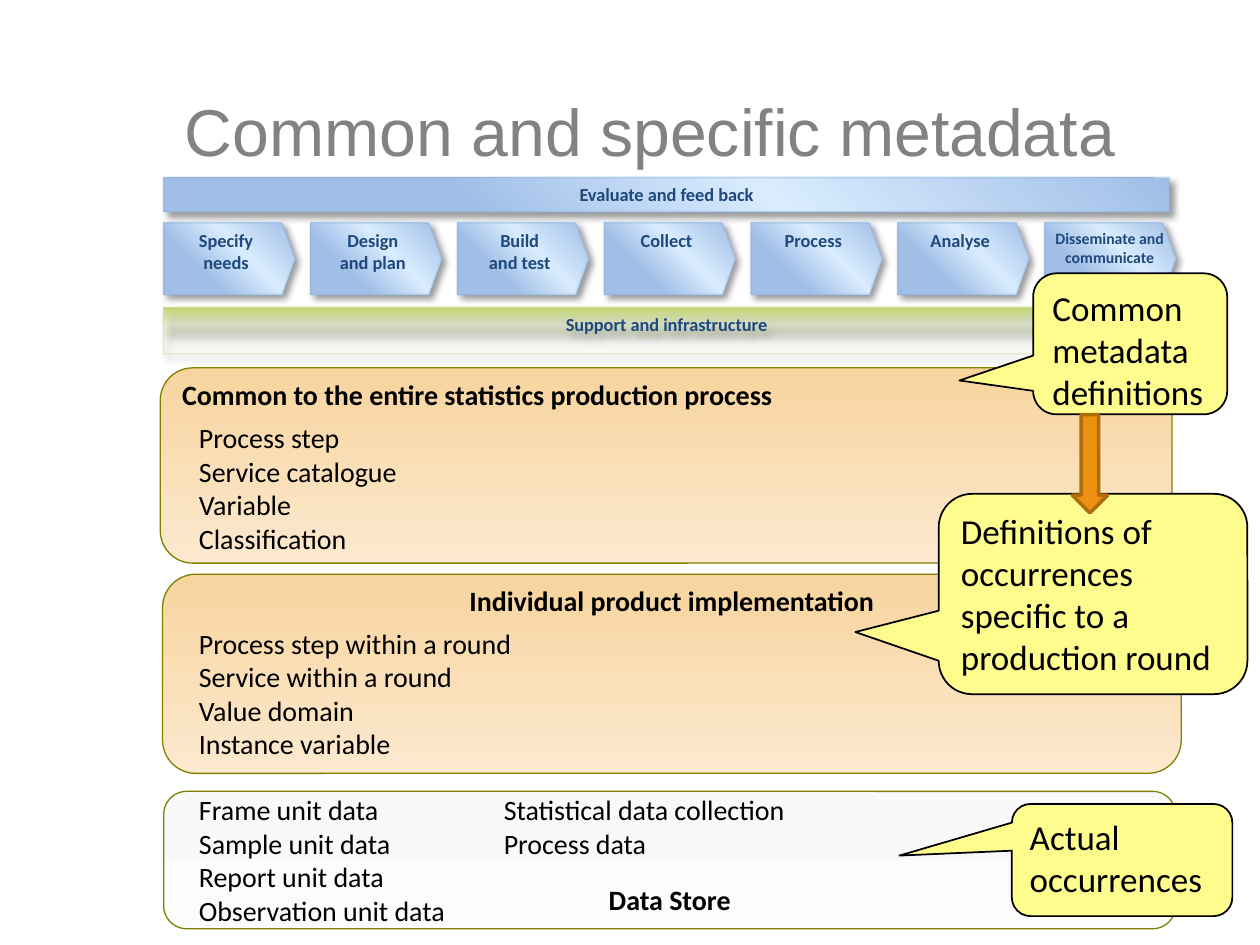
from lxml.etree import SubElement
from pptx import Presentation
from pptx.dml.color import RGBColor
from pptx.enum.shapes import MSO_SHAPE
from pptx.enum.text import MSO_ANCHOR, PP_ALIGN
from pptx.oxml.ns import qn
from pptx.util import Pt

BLACK = RGBColor(0x00, 0x00, 0x00)
GREY = RGBColor(0x82, 0x82, 0x82)
NAVY = RGBColor(0x1F, 0x49, 0x7D)
BLUE = RGBColor(0xA0, 0xBE, 0xE6)
PALE_BLUE = RGBColor(0xD9, 0xEC, 0xFF)
BLUE_EDGE = RGBColor(0x8E, 0xB4, 0xE3)
GREEN = RGBColor(0xBE, 0xD3, 0x6C)
PALE_GREEN = RGBColor(0xE9, 0xF0, 0xCE)
GREEN_EDGE = RGBColor(0xD4, 0xE2, 0x9D)
SAND = RGBColor(0xF8, 0xD4, 0x9E)
PALE_SAND = RGBColor(0xFC, 0xE9, 0xCF)
OFF_WHITE = RGBColor(0xF9, 0xF9, 0xF9)
NEAR_WHITE = RGBColor(0xFC, 0xFC, 0xFC)
OLIVE = RGBColor(0x80, 0x80, 0x00)
YELLOW = RGBColor(0xFF, 0xFC, 0x8E)
ORANGE = RGBColor(0xEC, 0x92, 0x10)
BROWN = RGBColor(0xAF, 0x6C, 0x0C)

# Gradient stops: position in percent, colour, opacity in percent
BLUE_STOPS = [(0, BLUE, 100), (40, PALE_BLUE, 100), (70, BLUE, 100)]
GREEN_STOPS = [(0, GREEN, 100), (38, PALE_GREEN, 69), (70, GREEN_EDGE, 4)]
SAND_STOPS = [(0, SAND, 100), (100, PALE_SAND, 100)]
WHITE_STOPS = [(0, OFF_WHITE, 100), (100, NEAR_WHITE, 100)]


def add_text_box(text, left, top, width, height, shape=None, size=16, color=BLACK,
                 font="Calibri", bold=False, align=PP_ALIGN.LEFT, anchor=MSO_ANCHOR.TOP,
                 margins=(7.2, 3.6, 7.2, 3.6), wrap=True):
    """Add a text box, or a preset shape if one is given, with a paragraph per line."""
    place = Pt(left), Pt(top), Pt(width), Pt(height)
    if shape is None:
        box = slide.shapes.add_textbox(*place)
    else:
        box = slide.shapes.add_shape(shape, *place)
        box.shadow.inherit = False
    frame = box.text_frame
    frame.word_wrap = wrap
    frame.vertical_anchor = anchor
    frame.margin_left, frame.margin_top, frame.margin_right, frame.margin_bottom = map(Pt, margins)
    frame.text = text
    for paragraph in frame.paragraphs:
        paragraph.alignment = align
        paragraph.font.size = Pt(size)
        paragraph.font.name = font
        paragraph.font.bold = bold
        paragraph.font.color.rgb = color
    return box


def paint(box, stops, angle, edge, edge_width, raised=False):
    """Fill with a clockwise gradient; a raised box has a faint edge and a shadow."""
    box.fill.gradient()
    box.fill.gradient_angle = 360 - angle
    properties = box._element.spPr
    stop_list = properties.find(qn("a:gradFill")).find(qn("a:gsLst"))
    for old_stop in list(stop_list):
        stop_list.remove(old_stop)
    for position, color, opacity in stops:
        stop = SubElement(stop_list, qn("a:gs"), pos=str(position * 1000))
        tint = SubElement(stop, qn("a:srgbClr"), val=str(color))
        if opacity < 100:
            SubElement(tint, qn("a:alpha"), val=str(opacity * 1000))
    box.line.color.rgb = edge
    box.line.width = Pt(edge_width)
    if raised:
        edge_color = properties.find(qn("a:ln")).find(".//" + qn("a:srgbClr"))
        SubElement(edge_color, qn("a:alpha"), val="44000")
        shadow = SubElement(properties.find(qn("a:effectLst")), qn("a:outerShdw"),
                            blurRad=str(Pt(4)), dist=str(Pt(3)), dir=str(45 * 60000),
                            algn="tl", rotWithShape="0")
        shade = SubElement(shadow, qn("a:srgbClr"), val=str(BLACK))
        SubElement(shade, qn("a:alpha"), val="40000")


presentation = Presentation()
presentation.slide_width, presentation.slide_height = Pt(720), Pt(540)
slide = presentation.slides.add_slide(presentation.slide_layouts[6])

add_text_box("Common and specific metadata", 98.6, 29.5, 585.4, 90,
             size=37.8, color=GREY, font="Arial", anchor=MSO_ANCHOR.MIDDLE)

# Process model: feedback bar, seven steps, support bar
process_left = 93.6
label = dict(size=10.5, color=NAVY, bold=True, align=PP_ALIGN.CENTER)
feedback = add_text_box("Evaluate and feed back", process_left, 101.5, 574.6, 19.5,
                        shape=MSO_SHAPE.RECTANGLE, anchor=MSO_ANCHOR.MIDDLE, **label)
paint(feedback, BLUE_STOPS, 135, BLUE_EDGE, 1, raised=True)

steps = ["Specify\nneeds", "Design\nand plan", "Build\nand test", "Collect",
         "Process", "Analyse", "Disseminate and\ncommunicate"]
for index, step_name in enumerate(steps):
    is_last = index == len(steps) - 1
    step_label = label | dict(size=9, margins=(5.8, 3.6, 2.9, 3.6)) if is_last else label
    step = add_text_box(step_name, process_left + 83.9 * index, 127.4, 74.9, 41,
                        shape=MSO_SHAPE.PENTAGON, **step_label)
    step.adjustments[0] = 0.18
    paint(step, BLUE_STOPS, 135, BLUE_EDGE, 1, raised=True)

support = add_text_box("Support and infrastructure", process_left, 175.7, 574.6, 26.6,
                       shape=MSO_SHAPE.RECTANGLE, **label)
paint(support, GREEN_STOPS, 90, GREEN_EDGE, 1, raised=True)

# Metadata layers
layers = [
    ("Common to the entire statistics production process", 91.6, 210.2, 578.2, 111.6,
     SAND_STOPS, PP_ALIGN.LEFT, MSO_ANCHOR.TOP),
    ("Data Store", 93.6, 452.2, 578.2, 78.5,
     WHITE_STOPS, PP_ALIGN.CENTER, MSO_ANCHOR.BOTTOM),
    ("Individual product implementation", 92.9, 328.1, 582.1, 113.8,
     SAND_STOPS, PP_ALIGN.CENTER, MSO_ANCHOR.TOP),
]
for heading, left, top, width, height, stops, align, anchor in layers:
    layer = add_text_box(heading, left, top, width, height, shape=MSO_SHAPE.ROUNDED_RECTANGLE,
                         bold=True, align=align, anchor=anchor,
                         margins=(7.2, 0, 7.2, 3.6), wrap=False)
    paint(layer, stops, 90, OLIVE, 0.75)

layer_items = [
    ("Process step\nService catalogue\nVariable\nClassification", 106.6, 236.9, 134, 85),
    ("Frame unit data\nSample unit data\nReport unit data\nObservation unit data",
     106.6, 449.3, 174.2, 85),
    ("Process step within a round\nService within a round\nValue domain\nInstance variable",
     106.6, 354.2, 206.6, 85),
    ("Statistical data collection\nProcess data", 280.8, 449.3, 186.5, 46),
]
for items, left, top, width, height in layer_items:
    add_text_box(items, left, top, width, height)

# Callouts, each with the offset of its tip
callouts = [
    ("Common metadata definitions", 590.4, 156.2, 110.9, 80.6, -0.88, 0.26),
    ("Definitions of occurrences specific to a production round",
     536.4, 282.2, 176.4, 114.5, -0.77, 0.19),
    ("Actual occurrences", 578.2, 459.4, 126, 64.1, -1.01, -0.04),
]
for note, left, top, width, height, tip_x, tip_y in callouts:
    callout = add_text_box(note, left, top, width, height,
                           shape=MSO_SHAPE.ROUNDED_RECTANGULAR_CALLOUT, size=20)
    callout.adjustments[0], callout.adjustments[1] = tip_x, tip_y
    callout.fill.solid()
    callout.fill.fore_color.rgb = YELLOW
    callout.line.color.rgb = BLACK
    callout.line.width = Pt(1)

refinement = slide.shapes.add_shape(MSO_SHAPE.DOWN_ARROW, Pt(612.7), Pt(236.9), Pt(20.2), Pt(56.2))
refinement.shadow.inherit = False
refinement.fill.solid()
refinement.fill.fore_color.rgb = ORANGE
refinement.line.color.rgb = BROWN
refinement.line.width = Pt(2)

presentation.save("out.pptx")
